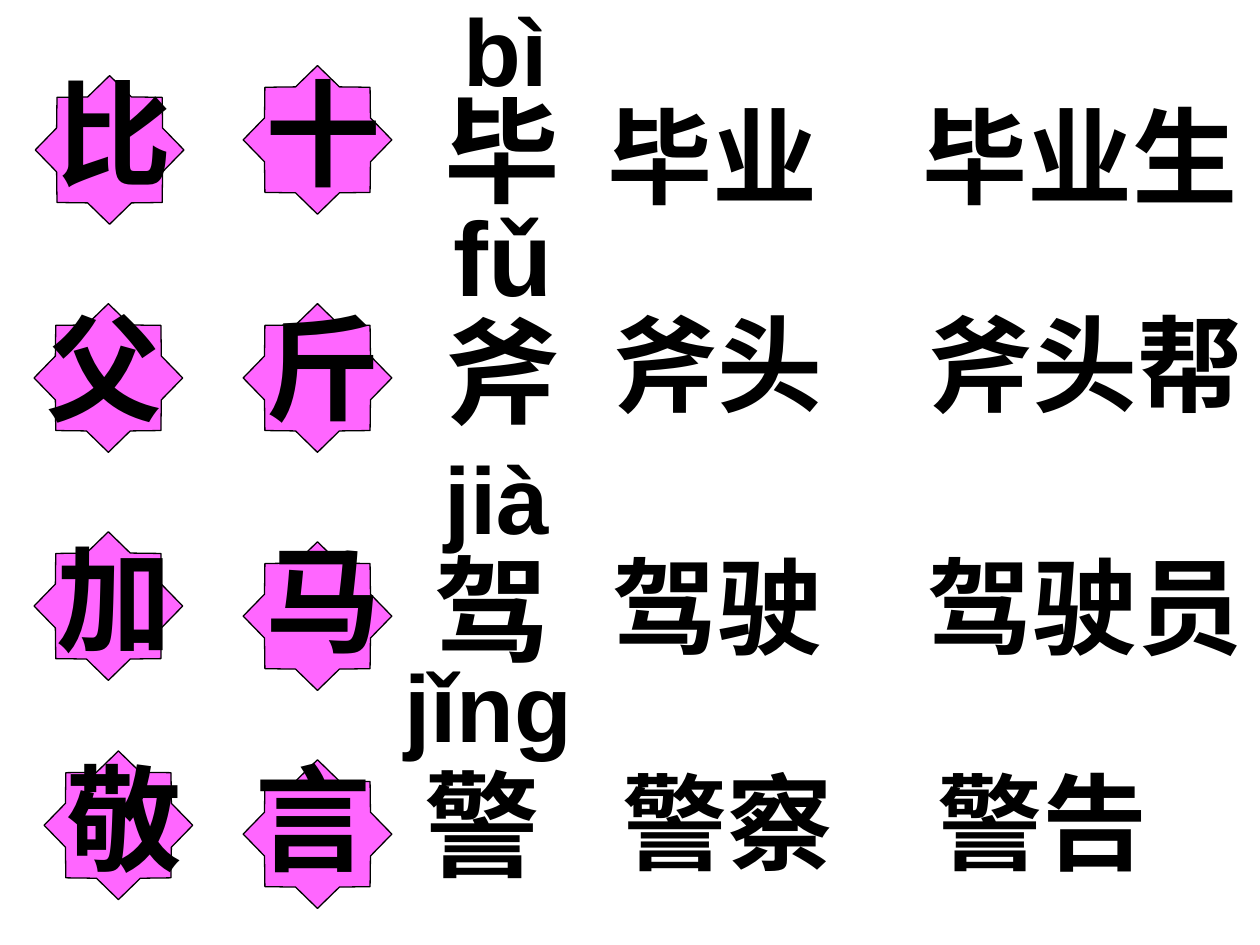
from dataclasses import dataclass
from math import cos, pi, sin

from pptx import Presentation
from pptx.dml.color import RGBColor
from pptx.enum.text import MSO_AUTO_SIZE
from pptx.util import Inches, Pt


@dataclass(frozen=True)
class Theme:
    font: str = "Arial"
    ink: RGBColor = RGBColor(0x00, 0x00, 0x00)
    star: RGBColor = RGBColor(0xFF, 0x66, 0xFF)
    outline: float = 0.75
    pinyin: int = 54
    word: int = 60
    character: int = 66


THEME = Theme()
STAR_RADIUS, STAR_INNER = 0.59, 0.455
BOX_HEIGHT = {54: 1.0, 60: 1.1, 66: 1.2}

# Star centres: x, y
STARS = [
    (2.52, 6.62), (0.94, 6.55),
    (2.52, 4.89), (0.86, 4.81),
    (2.52, 3.0), (0.86, 3.0),
    (2.52, 1.11), (0.87, 1.19),
]

# Each row: two parts, the whole character, its pinyin, example words
# Each label: text, left, top, width, size
ROWS = [
    [("比", 0.35, 0.44, 1.34, THEME.character),
     ("十", 2.01, 0.44, 1.1, THEME.character),
     ("毕", 3.43, 0.58, 1.34, THEME.character),
     ("bì", 3.58, -0.11, 1.73, THEME.pinyin),
     ("毕业　毕业生", 4.72, 0.68, 5.79, THEME.word)],
    [("父", 0.27, 2.31, 1.18, THEME.character),
     ("斤", 2.01, 2.31, 1.1, THEME.character),
     ("斧", 3.43, 2.33, 1.1, THEME.character),
     ("fǔ", 3.5, 1.47, 1.65, THEME.word),
     ("斧头　斧头帮", 4.76, 2.33, 5.83, THEME.word)],
    [("加", 0.35, 4.14, 1.42, THEME.character),
     ("马", 2.01, 4.14, 1.1, THEME.character),
     ("驾", 3.35, 4.22, 1.34, THEME.character),
     ("jià", 3.43, 3.44, 1.97, THEME.pinyin),
     ("驾驶　驾驶员", 4.76, 4.25, 5.51, THEME.word)],
    [("敬", 0.43, 5.88, 1.26, THEME.character),
     ("言", 1.93, 5.88, 1.58, THEME.character),
     ("警", 3.27, 5.93, 1.11, THEME.character),
     ("jǐng", 3.11, 5.09, 2.91, THEME.pinyin),
     ("警察　警告", 4.84, 5.96, 4.79, THEME.word)],
]


def add_star(s, x, y):
    """Draw an eight-pointed star around a centre."""
    points = []
    for i in range(16):
        radius = STAR_INNER if i % 2 else STAR_RADIUS
        angle = pi - i * pi / 8
        points.append((Inches(x + radius * cos(angle)),
                       Inches(y + radius * sin(angle))))
    builder = s.shapes.build_freeform(*points[0])
    builder.add_line_segments(points[1:], close=True)
    sp = builder.convert_to_shape()
    sp.shadow.inherit = False
    sp.fill.solid()
    sp.fill.fore_color.rgb = THEME.star
    sp.line.color.rgb = THEME.ink
    sp.line.width = Pt(THEME.outline)


def add_label(s, text, left, top, width, size):
    """Write one bold line of text."""
    sp = s.shapes.add_textbox(Inches(left), Inches(top),
                              Inches(width), Inches(BOX_HEIGHT[size]))
    tf = sp.text_frame
    tf.word_wrap = True
    tf.auto_size = MSO_AUTO_SIZE.SHAPE_TO_FIT_TEXT
    p = tf.paragraphs[0]
    p.text = text
    p.font.name = THEME.font
    p.font.size = Pt(size)
    p.font.bold = True
    p.font.color.rgb = THEME.ink


def main():
    prs = Presentation()
    prs.slide_width, prs.slide_height = Inches(10), Inches(7.5)
    s = prs.slides.add_slide(prs.slide_layouts[6])

    # Stars behind the character parts
    for x, y in STARS:
        add_star(s, x, y)

    # Characters, pinyin and words
    for row in ROWS:
        for label in row:
            add_label(s, *label)

    prs.save("out.pptx")


if __name__ == "__main__":
    main()
